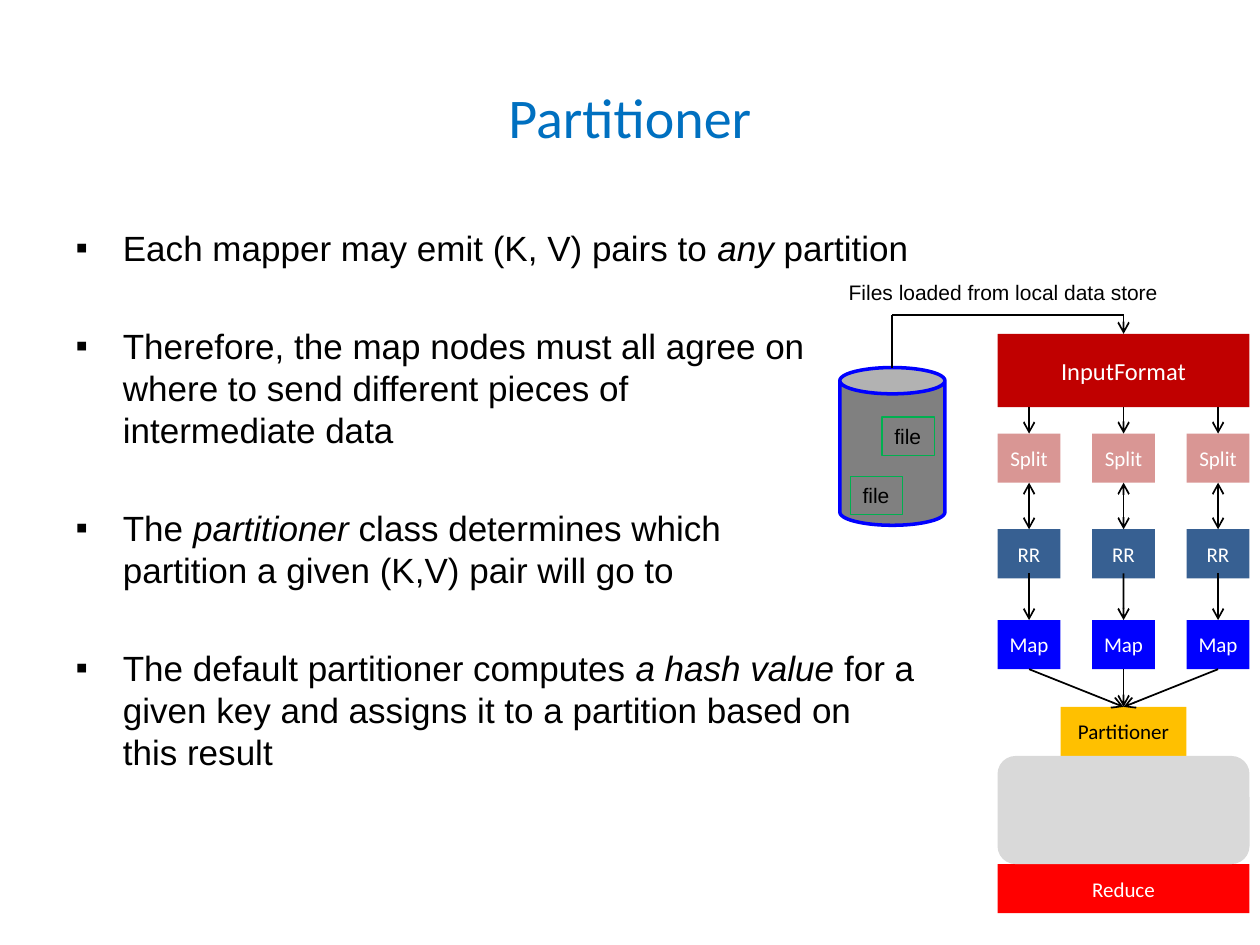
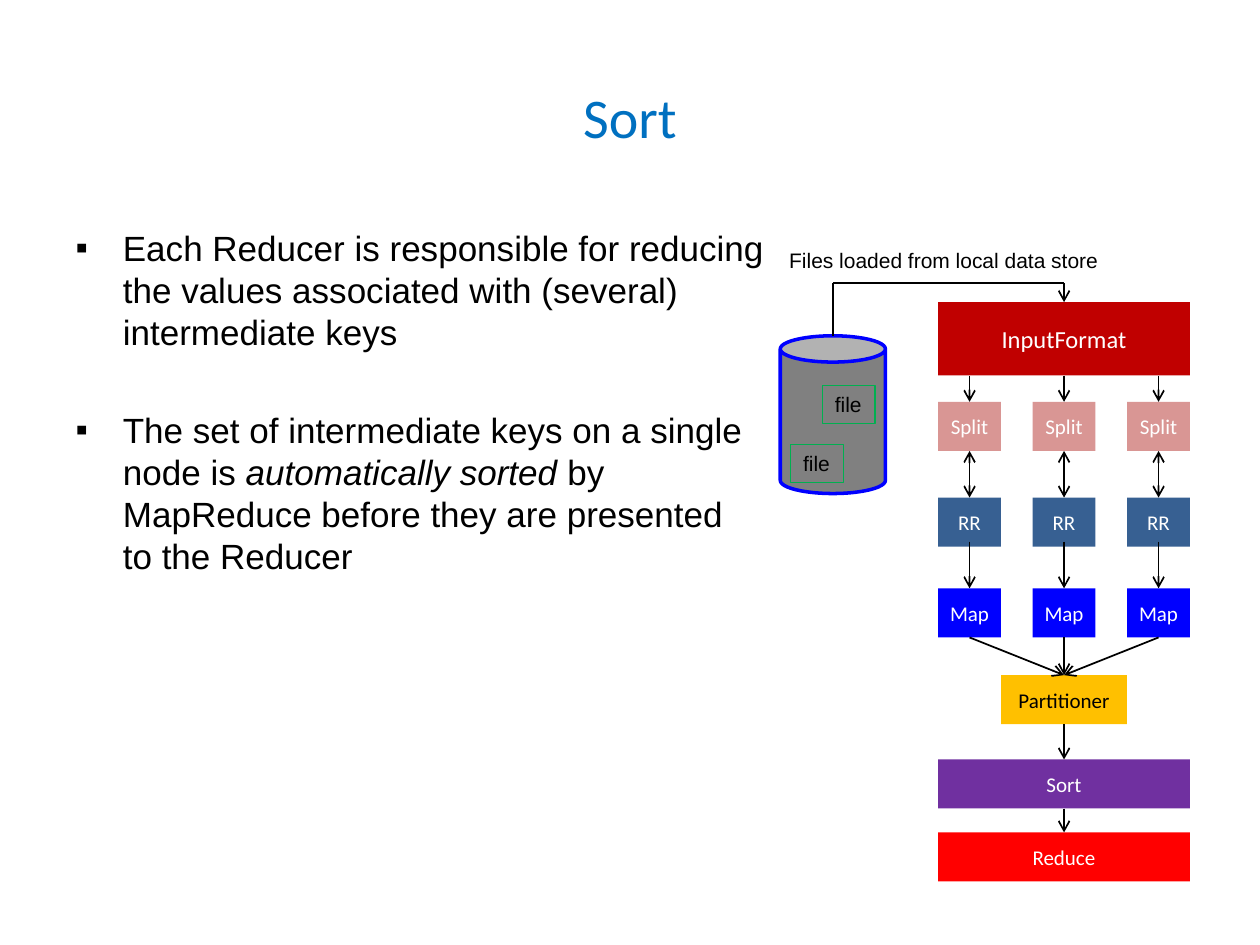
from pptx import Presentation
from pptx import util as u
from pptx.dml.color import RGBColor
from pptx.enum import shapes, text
from pptx.oxml.ns import qn
from lxml import etree

BLACK, WHITE, BLUE, GREEN = "000000", "FFFFFF", "0000FF", "00B050"
BOX, CAN, ROUND = (shapes.MSO_SHAPE.RECTANGLE, shapes.MSO_SHAPE.CAN,
                   shapes.MSO_SHAPE.ROUNDED_RECTANGLE)
TOP, BOTTOM = 0, 2


def color(code):
    return RGBColor.from_string(code)


class Deck:
    """Holds the shared style, the current slide and the diagram's origin."""

    def __init__(self):
        self.prs = Presentation()
        self.prs.slide_width, self.prs.slide_height = u.Cm(25.4), u.Cm(19.05)

    def start(self, title, items, left, top):
        self.slide = self.prs.slides.add_slide(self.prs.slide_layouts[1])
        self.left, self.top = left, top
        head, body = self.slide.placeholders
        self.place(head, 1.27, 0.76, 22.86, 3.18)
        self.place(body, 1.27, 4.43, 22.86, 12.57)
        head.text_frame.text = title
        self.style(head.text_frame.paragraphs[0], 32, "Calibri", "0070C0")
        self.list(body.text_frame, items)

    def place(self, shape, *spot):
        shape.left, shape.top, shape.width, shape.height = map(u.Cm, spot)

    def style(self, para, size, font, code):
        for run in para.runs:
            run.font.size, run.font.name = u.Pt(size), font
            run.font.color.rgb = color(code)

    def list(self, frame, items):
        frame.auto_size = text.MSO_AUTO_SIZE.NONE
        for n, item in enumerate(items):
            para = frame.add_paragraph() if n else frame.paragraphs[0]
            for k, part in enumerate(item.split("*")):
                for j, line in enumerate(part.split("\n")):
                    if j:
                        para.add_line_break()
                    if line:
                        run = para.add_run()
                        run.text, run.font.italic = line, k % 2 == 1
            self.style(para, 20, "Arial", BLACK)
            para.line_spacing = u.Pt(24)
            para.space_before = u.Pt(32 if n else 0)
            props = para._p.get_or_add_pPr()
            etree.SubElement(props, qn("a:buFont")).set("typeface", "Arial")
            etree.SubElement(props, qn("a:buChar")).set("char", "▪")

    def shape(self, x, y, w, h, fill=None, kind=BOX, edge=None, wide=1):
        shape = self.slide.shapes.add_shape(
            kind, u.Cm(self.left + x), u.Cm(self.top + y), u.Cm(w), u.Cm(h))
        shape.shadow.inherit = False
        if fill:
            shape.fill.solid()
            shape.fill.fore_color.rgb = color(fill)
        else:
            shape.fill.background()
        if edge:
            shape.line.color.rgb, shape.line.width = color(edge), u.Pt(wide)
        else:
            shape.line.fill.background()
        return shape

    def box(self, words, x, y, w, h, fill, code=WHITE, size=12):
        shape = self.shape(x, y, w, h, fill)
        frame = shape.text_frame
        frame.margin_left = frame.margin_right = 0
        frame.vertical_anchor = text.MSO_ANCHOR.MIDDLE
        frame.text = words
        frame.paragraphs[0].alignment = text.PP_ALIGN.CENTER
        self.style(frame.paragraphs[0], size, "Calibri", code)
        return shape

    def note(self, words, x, y, w, edge=None):
        shape = self.shape(x, y, w, 0.77, edge=edge, wide=0.75)
        frame = shape.text_frame
        frame.word_wrap = False
        frame.auto_size = text.MSO_AUTO_SIZE.SHAPE_TO_FIT_TEXT
        frame.vertical_anchor = text.MSO_ANCHOR.TOP
        frame.text = words
        frame.paragraphs[0].alignment = text.PP_ALIGN.LEFT
        self.style(frame.paragraphs[0], 12, "Arial", BLACK)

    def line(self, x1, y1, x2, y2, ends=(), start=None, stop=None):
        line = self.slide.shapes.add_connector(
            shapes.MSO_CONNECTOR.STRAIGHT,
            u.Cm(self.left + x1), u.Cm(self.top + y1),
            u.Cm(self.left + x2), u.Cm(self.top + y2))
        if start:
            line.begin_connect(start, BOTTOM)
        if stop:
            line.end_connect(stop, TOP)
        line.line.color.rgb, line.line.width = color(BLACK), u.Pt(1)
        for end in ends:
            etree.SubElement(line.line._get_or_add_ln(), qn(f"a:{end}")).set("type", "arrow")
        etree.SubElement(line._element.spPr, qn("a:effectLst"))

    def flow(self, sort):
        wide, tall, small = 5.08, 0.99, 1.27
        mid, bend, store = wide / 2, -0.38, -2.12
        split, read, work, part, order, last = 2.01, 3.94, 5.77, 7.52, 9.22, 10.69
        arrow, both = ["tailEnd"], ["headEnd", "tailEnd"]

        self.shape(store - 1.06, 0.68, 2.12, 3.18, "808080", CAN, BLUE, 2)
        for x, y in ((-2.33, 1.68), (-2.97, 2.87)):
            self.note("file", x, y, 1.06, GREEN)
        self.note("Files loaded from local data store", -3.25, -1.22, 7.14)
        source = self.box("InputFormat", 0, 0, wide, 1.48, "C00000", size=14)
        self.line(store, 0.68, store, bend)
        self.line(store, bend, mid, bend)
        self.line(mid, bend, mid, 0, arrow, stop=source)

        target = self.box("Partitioner", mid - small, part, 2 * small, tall, "FFC000", BLACK)
        for n in range(3):
            x = n * (wide - small) / 2
            cx = x + small / 2
            piece, reader, mapper = [
                self.box(words, x, y, small, tall, fill) for words, y, fill in
                (("Split", split, "D99694"), ("RR", read, "376092"), ("Map", work, BLUE))]
            self.line(cx, 1.48, cx, split, arrow, source if n == 1 else None, piece)
            self.line(cx, split + tall, cx, read, both, piece, reader)
            self.line(cx, read + tall - 0.1, cx, work, arrow, stop=mapper)
            self.line(cx, work + tall, mid, part, arrow, mapper, target)

        reduce = self.box("Reduce", 0, last, wide, tall, "FF0000")
        if sort:
            sorter = self.box("Sort", 0, order, wide, tall, "7030A0")
            self.line(mid, part + tall, mid, order, arrow, target, sorter)
            self.line(mid, order + tall, mid, last, arrow, sorter, reduce)
        else:
            self.shape(0, part + tall, wide, last - part - tall, "D9D9D9", ROUND)


def main():
    deck = Deck()
    deck.start("Partitioner", [
        "Each mapper may emit (K, V) pairs to *any* partition",
        "Therefore, the map nodes must all agree on \nwhere to send different pieces of \n"
        "intermediate data",
        "The *partitioner* class determines which \npartition a given (K,V) pair will go to",
        "The default partitioner computes *a hash value* for a \n"
        "given key and assigns it to a partition based on \nthis result",
    ], 20.11, 6.73)
    deck.flow(sort=False)
    deck.start("Sort", [
        "Each Reducer is responsible for reducing \nthe values associated with (several) \n"
        "intermediate keys",
        "The set of intermediate keys on a single \nnode is *automatically sorted *by \n"
        "MapReduce before they are presented \nto the Reducer",
    ], 18.91, 6.09)
    deck.flow(sort=True)
    deck.prs.save("out.pptx")


if __name__ == "__main__":
    main()
